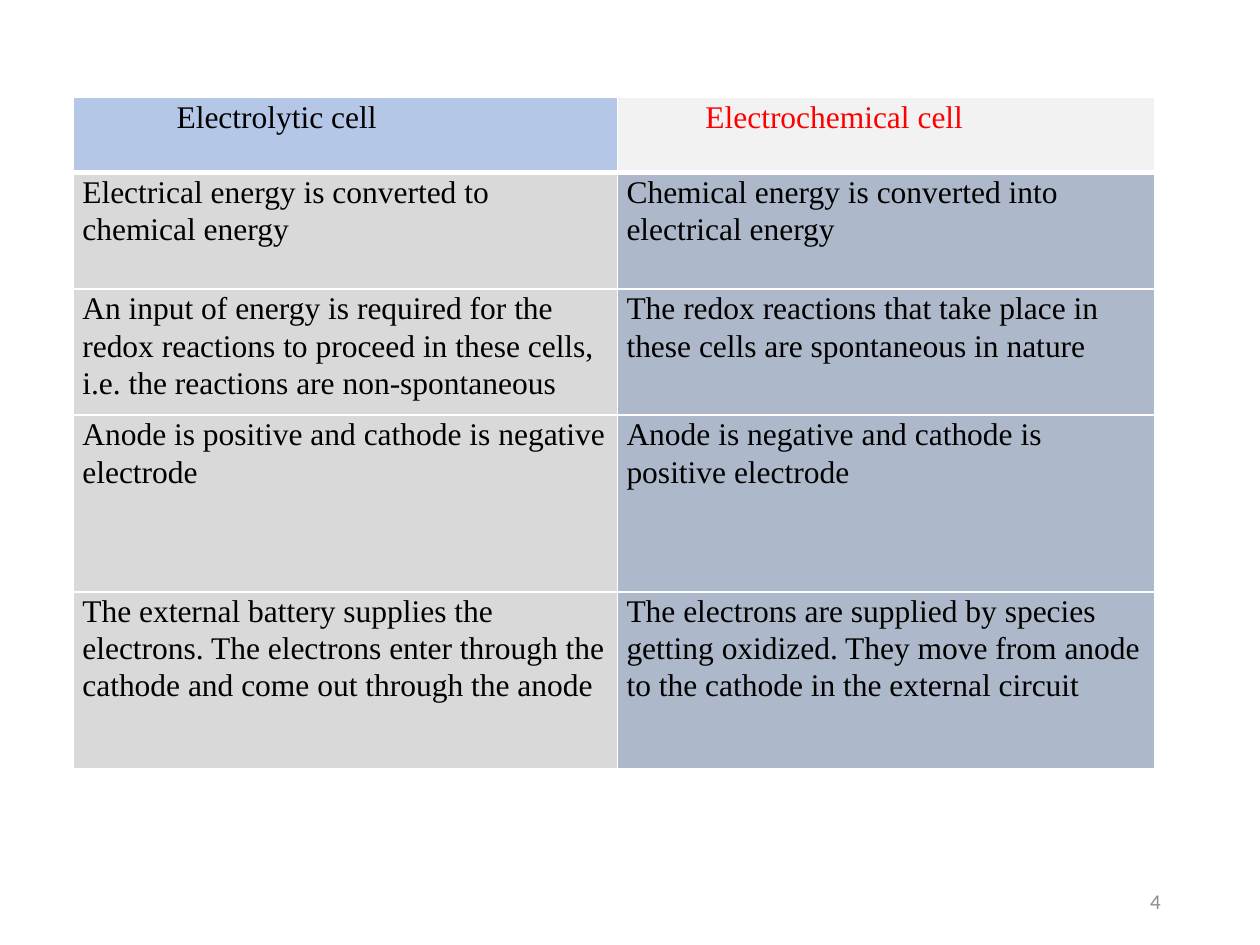
from lxml import etree
from pptx import Presentation
from pptx import util as u
from pptx.dml.color import RGBColor
from pptx.enum import text
from pptx.oxml.ns import qn

BLACK = RGBColor(0x00, 0x00, 0x00)
WHITE = RGBColor(0xFF, 0xFF, 0xFF)
RED = RGBColor(0xFF, 0x00, 0x00)
GREY = RGBColor(0x8C, 0x8C, 0x8C)
HEADER_BLUE = RGBColor(0xB4, 0xC7, 0xE7)
HEADER_GREY = RGBColor(0xF2, 0xF2, 0xF2)
BODY_GREY = RGBColor(0xD9, 0xD9, 0xD9)
BODY_BLUE = RGBColor(0xAD, 0xB9, 0xCA)

COLUMN_WIDTHS = (10.97, 10.82)
ROW_HEIGHTS = (1.51, 2.35, 2.54, 3.56, 3.56)
HEADER_FILLS = (HEADER_BLUE, HEADER_GREY)
HEADER_COLORS = (BLACK, RED)
HEADER_INDENTS = (1.9, 1.59)
BODY_FILLS = (BODY_GREY, BODY_BLUE)

CELL_FORMAT = {
    "margin_left": u.Cm(0.18),
    "margin_right": u.Cm(0.18),
    "margin_top": 0,
    "margin_bottom": 0,
    "vertical_anchor": text.MSO_ANCHOR.TOP,
}
CELL_FONT = {"name": "Times New Roman", "size": u.Pt(18), "bold": False}
NUMBER_FONT = {"name": "Calibri", "size": u.Pt(12)}

ROWS = (
    ("Electrolytic cell", "Electrochemical cell"),
    (
        "Electrical energy is converted to chemical energy",
        "Chemical energy is converted into electrical energy",
    ),
    (
        "An input of energy is required for the redox reactions to proceed "
        "in these cells, i.e. the reactions are non-spontaneous",
        "The redox reactions that take place in these cells are spontaneous in nature",
    ),
    (
        "Anode is positive and cathode is negative electrode",
        "Anode is negative and cathode is positive electrode",
    ),
    (
        "The external battery supplies the electrons. The electrons enter "
        "through the cathode and come out through the anode",
        "The electrons are supplied by species getting oxidized. They move "
        "from anode to the cathode in the external circuit",
    ),
)


def apply_format(target, values):
    for name, value in values.items():
        setattr(target, name, value)


def write_span(para, wording, font, color):
    span = para.add_run()
    span.text = wording
    apply_format(span.font, font)
    span.font.color.rgb = color


def set_borders(cell, bottom_width):
    properties = cell._tc.get_or_add_tcPr()
    widths = {"lnL": 1, "lnR": 1, "lnT": 1, "lnB": bottom_width}
    for position, (side, width) in enumerate(widths.items()):
        line = etree.Element(qn(f"a:{side}"), w=str(u.Pt(width)))
        fill = etree.SubElement(line, qn("a:solidFill"))
        etree.SubElement(fill, qn("a:srgbClr"), val=str(WHITE))
        properties.insert(position, line)


def fill_cell(cell, wording, fill, color, indent, bottom_width):
    apply_format(cell, CELL_FORMAT)
    cell.fill.solid()
    cell.fill.fore_color.rgb = fill
    set_borders(cell, bottom_width)
    para = cell.text_frame.paragraphs[0]
    para.line_spacing = 1.07
    para._p.get_or_add_pPr().set("marL", str(u.Cm(indent)))
    write_span(para, wording, CELL_FONT, color)


def add_comparison(page):
    frame = page.shapes.add_table(
        len(ROWS), len(COLUMN_WIDTHS), u.Cm(1.48), u.Cm(1.97),
        u.Cm(sum(COLUMN_WIDTHS)), u.Cm(sum(ROW_HEIGHTS)),
    )
    table = frame.table
    apply_format(table, {"first_row": False, "horz_banding": False})
    for column, width in zip(table.columns, COLUMN_WIDTHS):
        column.width = u.Cm(width)
    for row, height in zip(table.rows, ROW_HEIGHTS):
        row.height = u.Cm(height)
    for row_index, wordings in enumerate(ROWS):
        for index, wording in enumerate(wordings):
            if row_index == 0:
                style = (HEADER_FILLS[index], HEADER_COLORS[index], HEADER_INDENTS[index], 3)
            else:
                style = (BODY_FILLS[index], BLACK, 0, 1)
            fill_cell(table.cell(row_index, index), wording, *style)


def add_page_number(page, number):
    box = page.shapes.add_textbox(u.Cm(17.93), u.Cm(17.65), u.Cm(5.72), u.Cm(1.02))
    apply_format(box.text_frame, {
        "word_wrap": True,
        "vertical_anchor": text.MSO_ANCHOR.MIDDLE,
    })
    para = box.text_frame.paragraphs[0]
    para.alignment = text.PP_ALIGN.RIGHT
    write_span(para, number, NUMBER_FONT, GREY)


def main():
    deck = Presentation()
    apply_format(deck, {"slide_width": u.Cm(25.4), "slide_height": u.Cm(19.05)})
    page = deck.slides.add_slide(deck.slide_layouts[6])
    add_page_number(page, "4")
    add_comparison(page)
    deck.save("out.pptx")


if __name__ == "__main__":
    main()
